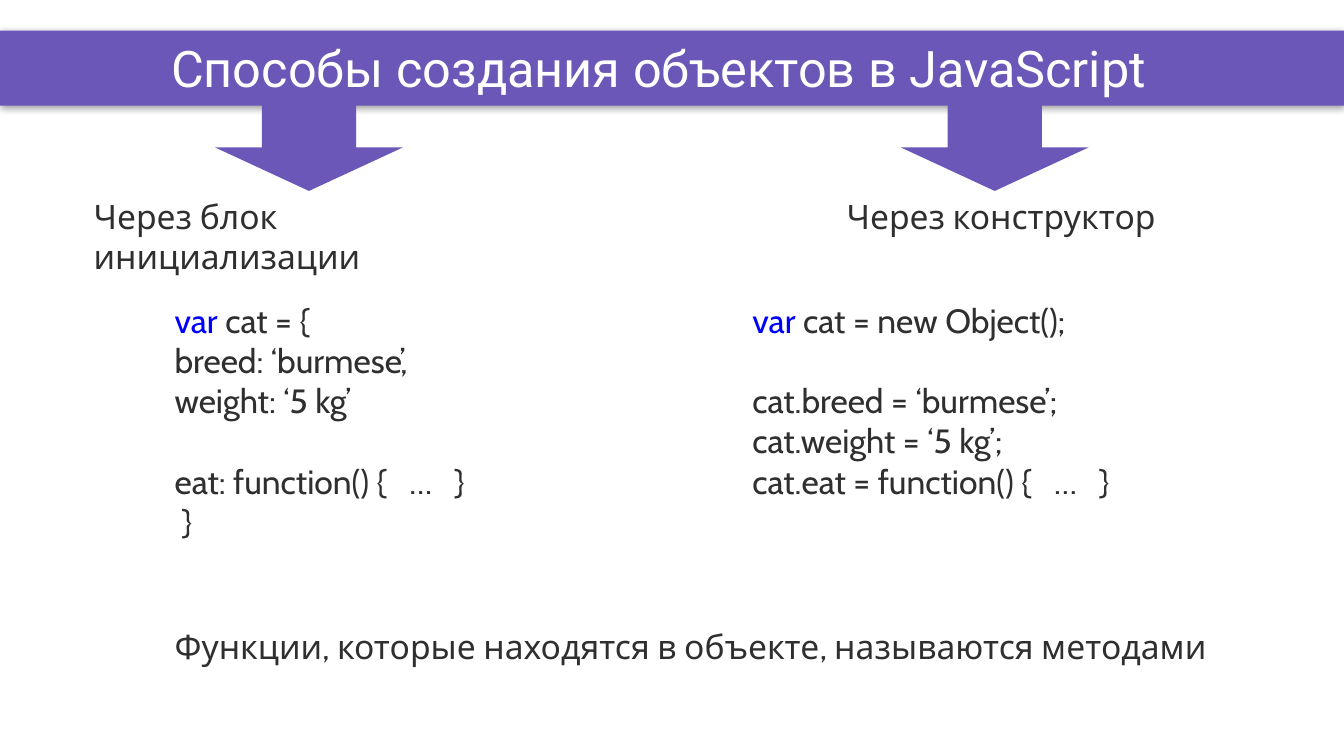
from lxml import etree
from pptx import Presentation, util as u
from pptx.dml.color import RGBColor
from pptx.enum import shapes, text
from pptx.oxml import ns

PURPLE, INK, KEYWORD = "6A57B7", "2F2F2F", "0000FF"
LINE = 21.5


def color(value):
    return RGBColor.from_string(value)


def add_run(paragraph, words, value, size=18, face="Cabin"):
    run = paragraph.add_run()
    run.text = words
    run.font.name = face
    run.font.size = u.Pt(size)
    run.font.color.rgb = color(value)


deck = Presentation()
deck.slide_width, deck.slide_height = u.Cm(25.4), u.Cm(14.29)
slide = deck.slides.add_slide(deck.slide_layouts[5])
heading = slide.shapes.title

blocks = [
    (shapes.MSO_SHAPE.RECTANGLE, 0, 0.58, 25.4, 1.42),
    (shapes.MSO_SHAPE.DOWN_ARROW, 4.06, 1.96, 3.56, 1.65),
    (shapes.MSO_SHAPE.DOWN_ARROW, 17.02, 1.96, 3.56, 1.65),
]
for kind, *place in blocks:
    block = slide.shapes.add_shape(kind, *map(u.Cm, place))
    block.shadow.inherit = False
    block.fill.solid()
    block.fill.fore_color.rgb = color(PURPLE)
    block.line.fill.background()
    if kind == shapes.MSO_SHAPE.RECTANGLE:
        effects = block.element.spPr.find(ns.qn("a:effectLst"))
        shadow = etree.SubElement(effects, ns.qn("a:outerShdw"), blurRad=str(u.Pt(4)),
                                  dist=str(u.Pt(1)), dir="5400000", rotWithShape="0")
        tint = etree.SubElement(shadow, ns.qn("a:srgbClr"), val="000000")
        etree.SubElement(tint, ns.qn("a:alpha"), val="40000")
    heading.element.addprevious(block.element)

heading.left, heading.top = u.Cm(1.02), u.Cm(0.58)
heading.width, heading.height = u.Cm(22.86), u.Cm(1.37)
heading.text_frame.word_wrap = True
heading.text_frame.auto_size = text.MSO_AUTO_SIZE.NONE
heading.text_frame.vertical_anchor = text.MSO_ANCHOR.MIDDLE
title_line = heading.text_frame.paragraphs[0]
title_line.alignment = text.PP_ALIGN.CENTER
add_run(title_line, "Способы создания объектов в JavaScript", "FFFFFF", 27, "Roboto")

literal_code = [
    (0, [("var", KEYWORD), (" cat = {", INK)]),
    (0, [("breed: ‘burmese’,", INK)]),
    (0, [("weight: ‘5 kg’", INK)]),
    (LINE, [("eat: function() {   …   }", INK)]),
    (0, [(" }", INK)]),
]
constructor_code = [
    (0, [("var", KEYWORD), (" cat = new Object();", INK)]),
    (LINE, [("cat.breed = ‘burmese’;", INK)]),
    (0, [("cat.weight = ‘5 kg’;", INK)]),
    (0, [("cat.eat = function() {   …   }", INK)]),
]
methods_note = "Функции, которые находятся в объекте, называются методами"

passages = [
    ((1.52, 3.58, 9.14, 1.02), [(0, [("Через блок инициализации", INK)])]),
    ((15.75, 3.58, 6.6, 1.02), [(0, [("Через конструктор", INK)])]),
    ((3.05, 5.54, 8.13, 4.88), literal_code),
    ((13.97, 5.54, 9.91, 4.11), constructor_code),
    ((3.05, 11.71, 20.83, 1.02), [(0, [(methods_note, INK)])]),
]
for place, lines in passages:
    frame = slide.shapes.add_textbox(*map(u.Cm, place)).text_frame
    frame.word_wrap = True
    frame.auto_size = text.MSO_AUTO_SIZE.SHAPE_TO_FIT_TEXT
    for number, (gap, runs) in enumerate(lines):
        paragraph = frame.add_paragraph() if number else frame.paragraphs[0]
        if gap:
            paragraph.space_before = u.Pt(gap)
        for words, value in runs:
            add_run(paragraph, words, value)

deck.save("out.pptx")
